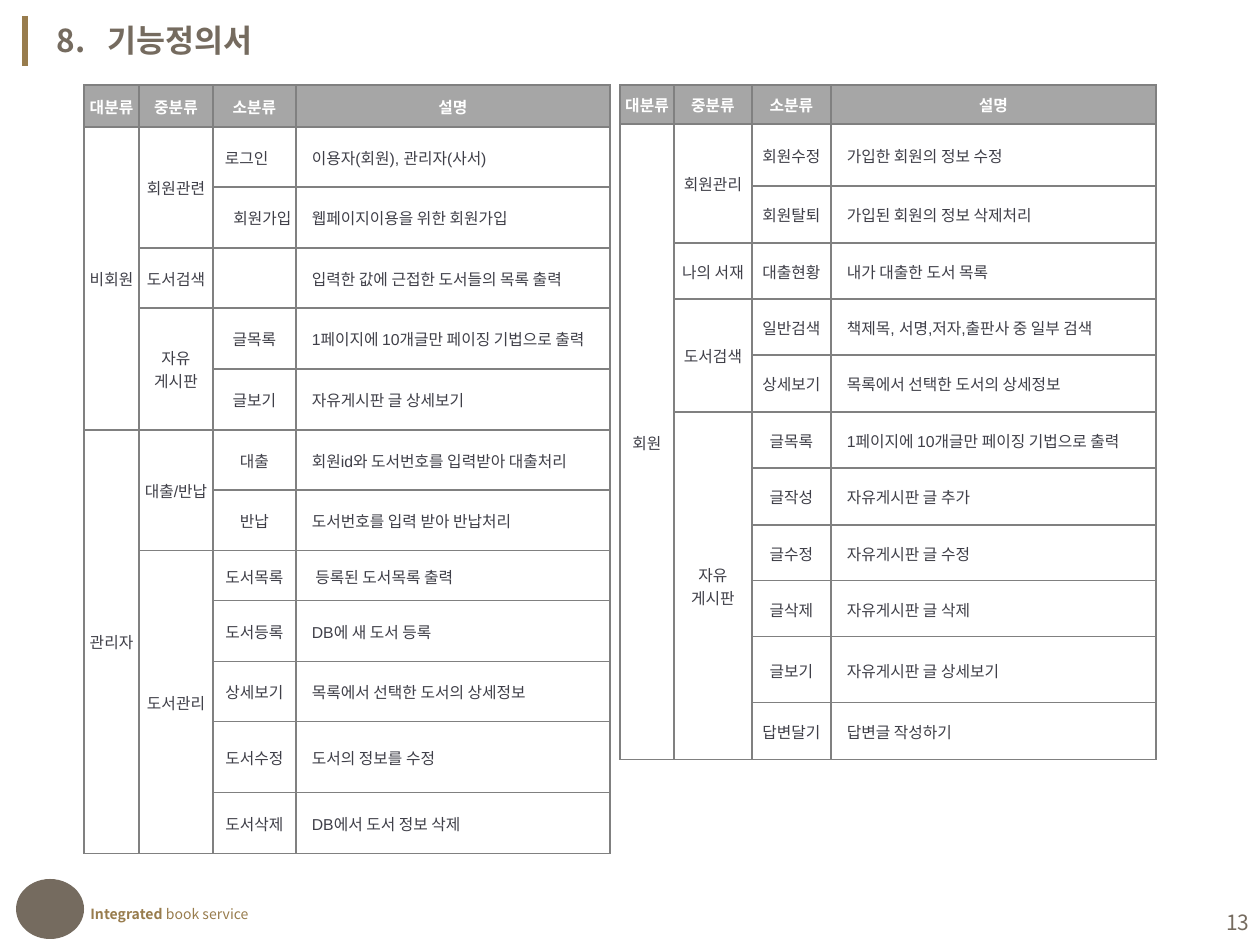
from itertools import pairwise
from lxml import etree
from pptx import Presentation
from pptx.dml.color import RGBColor
from pptx.enum.shapes import MSO_CONNECTOR, MSO_SHAPE
from pptx.enum.text import MSO_ANCHOR, PP_ALIGN
from pptx.oxml.ns import qn
from pptx.util import Pt

LINE, OVAL = MSO_CONNECTOR.STRAIGHT, MSO_SHAPE.OVAL
TOP, MID = MSO_ANCHOR.TOP, MSO_ANCHOR.MIDDLE
LEFT, MIDDLE, RIGHT = PP_ALIGN.LEFT, PP_ALIGN.CENTER, PP_ALIGN.RIGHT
SANS = "Noto Sans CJK KR"
BROWN, GOLD = "756B5F", "987C4D"
INK, WHITE, GREY, EDGE = "3F3F48", "FFFFFF", "A6A6A6", "808080"

HEAD = ("대분류", "중분류", "소분류", "설명")
GUEST = [
    ("비회원", "회원관련", "로그인　", "이용자(회원), 관리자(사서)"),
    ("", "", "　회원가입", "웹페이지이용을 위한 회원가입"),
    ("", "도서검색", "", "입력한 값에 근접한 도서들의 목록 출력"),
    ("", "자유\n게시판", "글목록", "1페이지에 10개글만 페이징 기법으로 출력"),
    ("", "", "글보기", "자유게시판 글 상세보기"),
    ("관리자", "대출/반납", "대출", "회원id와 도서번호를 입력받아 대출처리"),
    ("", "", "반납", "도서번호를 입력 받아 반납처리"),
    ("", "도서관리", "도서목록", " 등록된 도서목록 출력"),
    ("", "", "도서등록", "DB에 새 도서 등록"),
    ("", "", "상세보기", "목록에서 선택한 도서의 상세정보"),
    ("", "", "도서수정", "도서의 정보를 수정"),
    ("", "", "도서삭제", "DB에서 도서 정보 삭제"),
]
MEMBER = [
    ("회원", "회원관리", "회원수정", "가입한 회원의 정보 수정"),
    ("", "", "회원탈퇴", "가입된 회원의 정보 삭제처리"),
    ("", "나의 서재", "대출현황", "내가 대출한 도서 목록"),
    ("", "도서검색", "일반검색", "책제목, 서명,저자,출판사 중 일부 검색"),
    ("", "", "상세보기", "목록에서 선택한 도서의 상세정보"),
    ("", "자유\n게시판", "글목록", "1페이지에 10개글만 페이징 기법으로 출력"),
    ("", "", "글작성", "자유게시판 글 추가"),
    ("", "", "글수정", "자유게시판 글 수정"),
    ("", "", "글삭제", "자유게시판 글 삭제"),
    ("", "", "글보기", "자유게시판 글 상세보기"),
    ("", "", "답변달기", "답변글 작성하기"),
]


def px(n):
    return round(n * 914400 / 126)


def paint(hue):
    return RGBColor.from_string(hue)


def add_run(para, text, size, hue, bold=False, face=SANS):
    run = para.add_run()
    run.text = text
    font = run.font
    font.size, font.bold, font.name = Pt(size), bold, face
    font.color.rgb = paint(hue)
    east = etree.SubElement(run._r.get_or_add_rPr(), qn("a:ea"))
    east.set("typeface", SANS)


def add_box(slide, box, anchor=TOP):
    frame = slide.shapes.add_textbox(*map(px, box)).text_frame
    frame.word_wrap = True
    frame.vertical_anchor = anchor
    return frame.paragraphs[0]


def add_title(slide, x, y, w, h):
    bar = slide.shapes.add_connector(LINE, px(x), px(y), px(x), px(y + h))
    bar.line.color.rgb = paint(GOLD)
    bar.line.width = Pt(3)
    etree.SubElement(bar._element.spPr, qn("a:effectLst"))
    title = slide.shapes.title
    title.left, title.top, title.width, title.height = map(px, (x + 19, y - 1, w, h))
    frame = title.text_frame
    frame.vertical_anchor = TOP
    para = frame.paragraphs[0]
    para.alignment = LEFT
    props = para._p.get_or_add_pPr()
    props.set("marL", str(px(51)))
    props.set("indent", str(-px(51)))
    add_run(para, "8.\t기능정의서", 18, BROWN, True)


def rule_cell(cell):
    props = cell._tc.get_or_add_tcPr()
    for side in ("lnL", "lnR", "lnT", "lnB"):
        line = etree.SubElement(props, qn(f"a:{side}"), w=str(Pt(1)))
        fill = etree.SubElement(line, qn("a:solidFill"))
        etree.SubElement(fill, qn("a:srgbClr"), val=EDGE)


def fill_cell(cell, text, head, note):
    rule_cell(cell)
    cell.fill.solid()
    cell.fill.fore_color.rgb = paint(GREY if head else WHITE)
    cell.margin_left = cell.margin_right = cell.margin_top = px(1)
    cell.margin_bottom = 0
    cell.vertical_anchor = MID
    if not text:
        return
    frame = cell.text_frame
    for i, part in enumerate(text.split("\n")):
        para = frame.add_paragraph() if i else frame.paragraphs[0]
        para.alignment = LEFT if note else MIDDLE
        if note:
            para._p.get_or_add_pPr().set("marL", str(px(15)))
        add_run(para, part, 9, WHITE if head else INK, head, "Arial")


def merge_down(table, rows, col):
    starts = [i for i, row in enumerate(rows) if row[col]] + [len(rows)]
    for top, end in pairwise(starts):
        if end - top > 1:
            table.cell(top, col).merge(table.cell(end - 1, col))


def add_grid(slide, xs, ys, body):
    rows = [HEAD, *body]
    box = xs[0], ys[0], xs[-1] - xs[0], ys[-1] - ys[0]
    table = slide.shapes.add_table(len(rows), len(HEAD), *map(px, box)).table
    table.horz_banding = False
    for col, (a, b) in zip(table.columns, pairwise(xs)):
        col.width = px(b - a)
    for row, (a, b) in zip(table.rows, pairwise(ys)):
        row.height = px(b - a)
    for r, row in enumerate(rows):
        for c, text in enumerate(row):
            fill_cell(table.cell(r, c), text, r == 0, r > 0 and c == 3)
    for col in (0, 1):
        merge_down(table, rows, col)


def add_foot(slide, x, y, w, h):
    label = add_box(slide, (x + 62, y + 20, 205, 30))
    add_run(label, "Integrated ", 8, GOLD, True)
    add_run(label, "book service", 8, GOLD)
    disc = slide.shapes.add_shape(OVAL, px(x), px(y), px(68), px(h))
    disc.shadow.inherit = False
    disc.fill.solid()
    disc.fill.fore_color.rgb = paint(BROWN)
    disc.line.fill.background()
    page = add_box(slide, (x + w - 294, y + 18, 294, 50), MID)
    page.alignment = RIGHT
    add_run(page, "13", 12, BROWN)


def main():
    deck = Presentation()
    deck.slide_width, deck.slide_height = px(1260), px(945)
    slide = deck.slides.add_slide(deck.slide_layouts[5])
    add_title(slide, 25, 16, 404, 50)
    add_grid(slide, (84, 139, 213, 296, 610),
             (85, 127, 187, 248, 308, 369, 430, 490, 551, 601, 662, 722, 793, 854), GUEST)
    add_grid(slide, (620, 674, 752, 831, 1156),
             (85, 124, 186, 243, 299, 355, 412, 468, 525, 581, 637, 703, 760), MEMBER)
    add_foot(slide, 16, 879, 1246, 60)
    deck.save("out.pptx")


if __name__ == "__main__":
    main()
